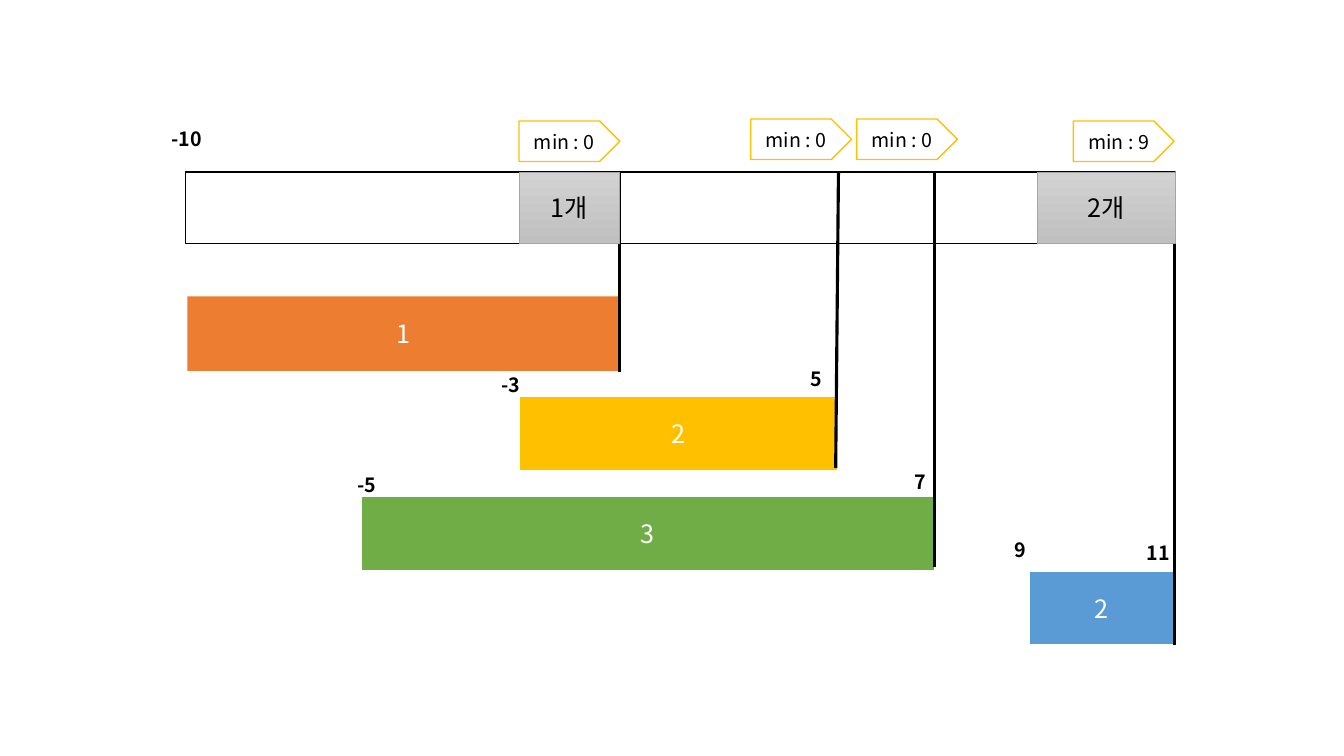
"""Build a slide of intervals on a number line with their minimum markers."""
from lxml.etree import SubElement
from pptx import Presentation
from pptx.dml.color import RGBColor
from pptx.enum.shapes import MSO_CONNECTOR, MSO_SHAPE
from pptx.enum.text import MSO_ANCHOR, MSO_AUTO_SIZE, PP_ALIGN
from pptx.oxml.ns import qn
from pptx.util import Cm, Pt

FONT = "Noto Sans CJK KR"
BLACK = RGBColor(0x00, 0x00, 0x00)
WHITE = RGBColor(0xFF, 0xFF, 0xFF)
ORANGE = RGBColor(0xED, 0x7D, 0x31)
GOLD = RGBColor(0xFF, 0xC0, 0x00)
GREEN = RGBColor(0x70, 0xAD, 0x47)
BLUE = RGBColor(0x5B, 0x9B, 0xD5)
GRAY_EDGE = RGBColor(0xA5, 0xA5, 0xA5)
GRAY_TOP = RGBColor(0xD2, 0xD2, 0xD2)
GRAY_BOTTOM = RGBColor(0xC0, 0xC0, 0xC0)

AXIS_LEFT, AXIS_TOP, AXIS_WIDTH, AXIS_HEIGHT = 4.67, 4.34, 24.94, 1.8
BAR_HEIGHT = 1.88
TAG_WIDTH, TAG_HEIGHT = 2.54, 1.02
LABEL_HEIGHT = 0.86

INTERVALS = [
    ("1", 4.72, 7.47, 10.9, ORANGE, None),
    ("2", 13.08, 9.98, 8.05, GOLD, WHITE),
    ("3", 9.09, 12.5, 14.48, GREEN, WHITE),
    ("2", 25.93, 14.38, 3.66, BLUE, WHITE),
]
END_LINES = [
    (15.62, 9.37, 15.62, 4.34),
    (21.06, 11.79, 21.13, 4.34),
    (23.55, 14.3, 23.55, 4.34),
    (29.59, 16.26, 29.59, 4.39),
]
MINIMUM_TAGS = [
    ("min : 0", 13.08, 3.05),
    ("min : 0", 18.92, 3),
    ("min : 0", 21.59, 3),
    ("min : 9", 27.05, 3.05),
]
COORDINATES = [
    ("-10", 4.06, 3.07, 1.3),
    ("-3", 12.37, 9.27, 1.02),
    ("5", 20.17, 9.12, 0.81),
    ("7", 22.78, 11.71, 0.81),
    ("-5", 8.74, 11.79, 1.02),
    ("9", 25.32, 13.44, 0.81),
    ("11", 28.65, 13.51, 1.09),
]
OVERLAPS = [("1개", 13.08, 2.54), ("2개", 26.14, 3.48)]


def write_text(shape, text, size, color, bold=False):
    """Write one centred paragraph in the slide font."""
    para = shape.text_frame.paragraphs[0]
    para.text = text
    para.alignment = PP_ALIGN.CENTER
    font = para.font
    font.name, font.size, font.bold = FONT, Pt(size), bold
    font.color.rgb = color
    properties = para._p.pPr.find(qn("a:defRPr"))
    SubElement(properties, qn("a:ea")).set("typeface", FONT)


def add_block(slide, kind, left, top, width, height, fill, edge, edge_width=1):
    """Add a preset shape with a flat fill and an optional outline."""
    shape = slide.shapes.add_shape(kind, Cm(left), Cm(top), Cm(width), Cm(height))
    shape.shadow.inherit = False
    shape.fill.solid()
    shape.fill.fore_color.rgb = fill
    if edge is None:
        shape.line.fill.background()
    else:
        shape.line.color.rgb = edge
        shape.line.width = Pt(edge_width)
    shape.text_frame.vertical_anchor = MSO_ANCHOR.MIDDLE
    return shape


def add_interval(slide, text, left, top, width, fill, edge):
    """Add a coloured interval bar with its number."""
    bar = add_block(slide, MSO_SHAPE.RECTANGLE, left, top, width, BAR_HEIGHT, fill, edge, 1.5)
    write_text(bar, text, 18, WHITE)


def add_end_line(slide, start_x, start_y, end_x, end_y):
    """Add a line from the end of an interval up to the axis."""
    line = slide.shapes.add_connector(
        MSO_CONNECTOR.STRAIGHT, Cm(start_x), Cm(start_y), Cm(end_x), Cm(end_y))
    line.line.color.rgb = BLACK
    line.line.width = Pt(2.25)
    SubElement(line._element.spPr, qn("a:effectLst"))


def add_minimum_tag(slide, text, left, top):
    """Add a pentagon tag that states the current minimum."""
    tag = add_block(slide, MSO_SHAPE.PENTAGON, left, top, TAG_WIDTH, TAG_HEIGHT, WHITE, GOLD)
    write_text(tag, text, 14, BLACK)


def add_coordinate(slide, text, left, top, width):
    """Add a bold coordinate label."""
    box = slide.shapes.add_textbox(Cm(left), Cm(top), Cm(width), Cm(LABEL_HEIGHT))
    box.text_frame.word_wrap = False
    box.text_frame.auto_size = MSO_AUTO_SIZE.SHAPE_TO_FIT_TEXT
    write_text(box, text, 14, BLACK, bold=True)


def add_overlap(slide, text, left, width):
    """Add a gray gradient block on the axis with its count."""
    block = add_block(slide, MSO_SHAPE.RECTANGLE, left, AXIS_TOP, width, AXIS_HEIGHT,
                      GRAY_TOP, GRAY_EDGE, 0.5)
    block.fill.gradient()
    block.fill.gradient_angle = 270
    for stop, color in zip(block.fill.gradient_stops, (GRAY_TOP, GRAY_BOTTOM)):
        stop.color.rgb = color
    write_text(block, text, 18, BLACK)


def main():
    """Build the slide and save it."""
    deck = Presentation()
    deck.slide_width, deck.slide_height = Cm(33.87), Cm(19.05)
    slide = deck.slides.add_slide(deck.slide_layouts[6])
    add_block(slide, MSO_SHAPE.RECTANGLE, AXIS_LEFT, AXIS_TOP, AXIS_WIDTH, AXIS_HEIGHT,
              WHITE, BLACK)
    for add_element, rows in (
        (add_interval, INTERVALS),
        (add_end_line, END_LINES),
        (add_minimum_tag, MINIMUM_TAGS),
        (add_coordinate, COORDINATES),
        (add_overlap, OVERLAPS),
    ):
        for row in rows:
            add_element(slide, *row)
    deck.save("out.pptx")


main()
